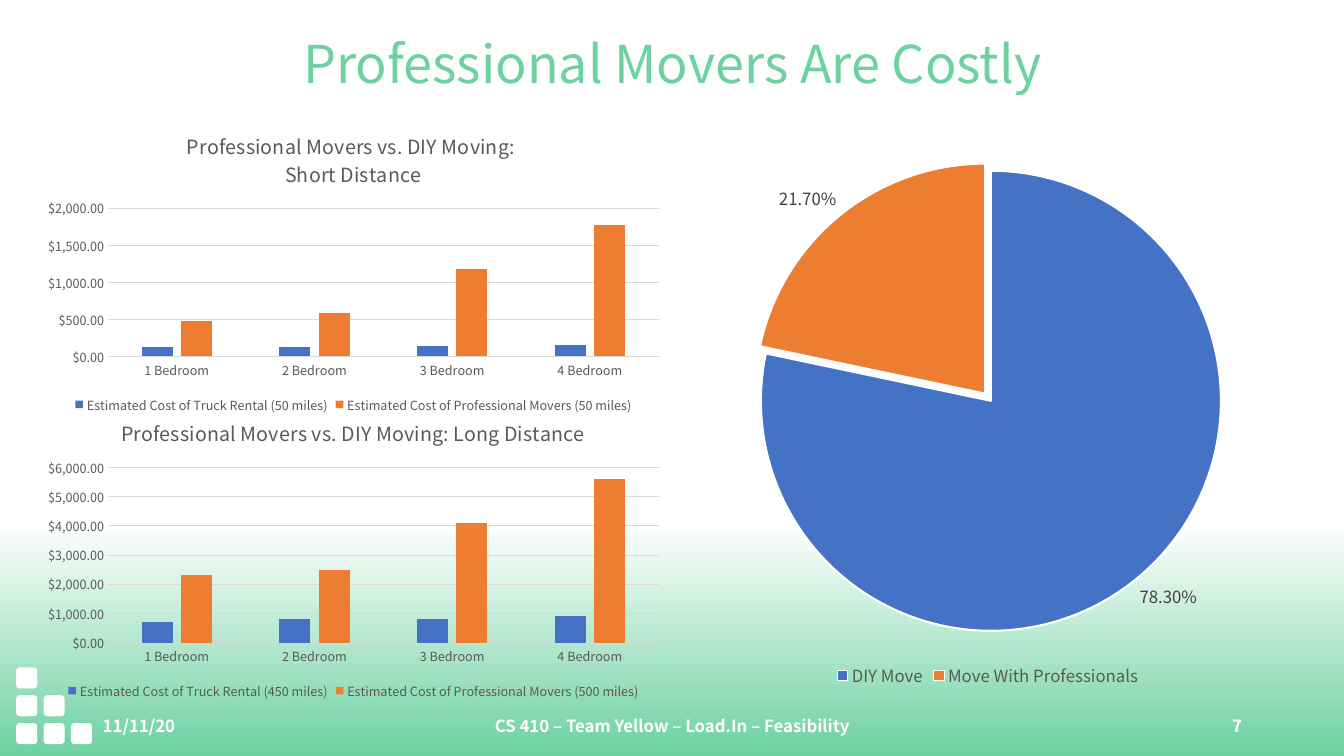
from dataclasses import dataclass

from lxml.etree import Element
from pptx import Presentation
from pptx.chart.data import CategoryChartData
from pptx.dml.color import RGBColor
from pptx.enum.chart import XL_CHART_TYPE, XL_LABEL_POSITION, XL_LEGEND_POSITION, XL_TICK_MARK
from pptx.enum.shapes import MSO_SHAPE
from pptx.enum.text import MSO_ANCHOR, MSO_AUTO_SIZE, PP_ALIGN
from pptx.oxml.ns import qn
from pptx.util import Cm, Pt

TITLE = "Professional Movers Are Costly"
FOOTERS = [
    ("11/11/20", 2.34, 7.62, PP_ALIGN.LEFT),
    ("CS 410 – Team Yellow – Load.In – Feasibility", 11.23, 11.43, PP_ALIGN.CENTER),
    ("7", 23.93, 7.62, PP_ALIGN.RIGHT),
]
BEDROOMS = [f"{n} Bedroom" for n in range(1, 5)]
COST_CHARTS = [
    {
        "title": "Professional Movers vs. DIY Moving: \nShort Distance",
        "top": 2.9,
        "max": 2000,
        "series": {
            "Estimated Cost of Truck Rental (50 miles)": (130, 130, 140, 160),
            "Estimated Cost of Professional Movers (50 miles)": (480, 580, 1180, 1770),
        },
    },
    {
        "title": "Professional Movers vs. DIY Moving: Long Distance",
        "top": 10.11,
        "max": 6000,
        "series": {
            "Estimated Cost of Truck Rental (450 miles)": (700, 800, 800, 900),
            "Estimated Cost of Professional Movers (500 miles)": (2300, 2500, 4100, 5600),
        },
    },
]
MOVE_SHARES = {"DIY Move": 78.3, "Move With Professionals": 21.7}
SQUARES_PER_ROW = [1, 2, 3]


@dataclass(frozen=True)
class Theme:
    font: str = "Noto Sans CJK KR"
    base_font: str = "Arial"
    green: str = "6DD1A1"
    white: str = "FFFFFF"
    black: str = "000000"
    grey: str = "595959"
    dark: str = "404040"
    grid: str = "D9D9D9"
    series: tuple = ("4472C4", "ED7D31")
    title: float = 37.2
    footer: float = 12
    chart_title: float = 14
    chart_base: float = 10
    axis: float = 9
    pie: float = 12


T = Theme()


def rgb(value):
    return RGBColor.from_string(value)


def style(font, size, color, bold=False, name=T.font):
    for key, value in {"size": Pt(size), "bold": bold, "name": name}.items():
        setattr(font, key, value)
    font.color.rgb = rgb(color)


def paint(fill, color):
    fill.solid()
    fill.fore_color.rgb = rgb(color)


def draw_line(line, color, width):
    line.color.rgb = rgb(color)
    line.width = Pt(width)


def fill_text(tf, text, size, color, align, bold=False):
    formats = {
        "word_wrap": True, "auto_size": MSO_AUTO_SIZE.NONE,
        "vertical_anchor": MSO_ANCHOR.MIDDLE,
        "margin_left": Cm(0.25), "margin_right": Cm(0.25),
        "margin_top": Cm(0.13), "margin_bottom": Cm(0.13),
    }
    for key, value in formats.items():
        setattr(tf, key, value)
    p = tf.paragraphs[0]
    p.alignment = align
    r = p.add_run()
    r.text = text
    style(r.font, size, color, bold)
    return p


def add_chart(s, kind, box, categories, series, legend_size):
    data = CategoryChartData()
    data.categories = categories
    for name, values in series.items():
        data.add_series(name, values)
    chart = s.shapes.add_chart(kind, *map(Cm, box), data).chart
    style(chart.font, T.chart_base, T.black, name=T.base_font)
    chart.has_legend = True
    chart.legend.position = XL_LEGEND_POSITION.BOTTOM
    chart.legend.include_in_layout = False
    style(chart.legend.font, legend_size, T.grey)
    return chart


def add_cost_chart(s, content):
    box = (0.89, content["top"], 16.03, 7.62)
    chart = add_chart(s, XL_CHART_TYPE.COLUMN_CLUSTERED, box, BEDROOMS, content["series"], T.axis)
    chart.has_title = True
    tf = chart.chart_title.text_frame
    tf.text = content["title"]
    for p in tf.paragraphs:
        style(p.font, T.chart_title, T.grey)
        for r in p.runs:
            style(r.font, T.chart_title, T.grey)
    plot = chart.plots[0]
    for key, value in {"gap_width": 219, "overlap": -27, "vary_by_categories": False}.items():
        setattr(plot, key, value)
    for series, color in zip(plot.series, T.series):
        paint(series.format.fill, color)
        series.invert_if_negative = False
    for axis in (chart.category_axis, chart.value_axis):
        axis.major_tick_mark = axis.minor_tick_mark = XL_TICK_MARK.NONE
        style(axis.tick_labels.font, T.axis, T.grey)
    draw_line(chart.category_axis.format.line, T.grid, 0.75)
    costs = chart.value_axis
    costs.minimum_scale, costs.maximum_scale = 0, content["max"]
    costs.format.line.fill.background()
    draw_line(costs.major_gridlines.format.line, T.grid, 0.75)
    costs.tick_labels.number_format = "\\$#,##0.00"
    costs.tick_labels.number_format_is_linked = False


def add_share_chart(s):
    chart = add_chart(s, XL_CHART_TYPE.PIE, (17.7, 3.61, 14.4, 13.82),
                      list(MOVE_SHARES), {"Series 1": list(MOVE_SHARES.values())}, T.pie)
    chart.has_title = False
    plot = chart.plots[0]
    plot.vary_by_categories = True
    series = plot.series[0]
    draw_line(series.format.line, T.white, 1.5)
    explosion = Element(qn("c:explosion"), val="2")
    series.format.element.find(qn("c:spPr")).addnext(explosion) if hasattr(series.format, "element") \
        else series._element.find(qn("c:spPr")).addnext(explosion)
    for i, color in enumerate(T.series):
        point = series.points[i].format
        paint(point.fill, color)
        draw_line(point.line, T.white, 1.5)
    labels = series.data_labels
    formats = {
        "show_percentage": True, "show_value": False, "number_format": "0.00%",
        "number_format_is_linked": False, "position": XL_LABEL_POSITION.OUTSIDE_END,
    }
    for key, value in formats.items():
        setattr(labels, key, value)
    style(labels.font, T.pie, T.dark)


def add_squares(s):
    for row, count in enumerate(SQUARES_PER_ROW):
        for col in range(count):
            square = s.shapes.add_shape(MSO_SHAPE.ROUNDED_RECTANGLE, Cm(0.41 + 0.69 * col),
                                        Cm(16.82 + 0.7 * row), Cm(0.53), Cm(0.53))
            square.shadow.inherit = False
            paint(square.fill, T.white)
            square.line.fill.background()


def main():
    prs = Presentation()
    prs.slide_width, prs.slide_height = Cm(33.87), Cm(19.05)
    s = prs.slides.add_slide(prs.slide_layouts[5])
    background = s.background.fill
    background.gradient()
    background.gradient_angle = 270
    for stop, position, color in zip(background.gradient_stops, (0.69, 1), (T.white, T.green)):
        stop.position = position
        stop.color.rgb = rgb(color)

    add_squares(s)
    title = s.shapes.title
    title.left, title.top, title.width, title.height = map(Cm, (2.34, 1.02, 29.21, 1.5))
    fill_text(title.text_frame, TITLE, T.title, T.green, PP_ALIGN.CENTER).line_spacing = 0.7
    for text, left, width, align in FOOTERS:
        box = s.shapes.add_textbox(Cm(left), Cm(17.53), Cm(width), Cm(1.52))
        fill_text(box.text_frame, text, T.footer, T.white, align, True)
    for content in COST_CHARTS:
        add_cost_chart(s, content)
    add_share_chart(s)
    prs.save("out.pptx")


if __name__ == "__main__":
    main()
